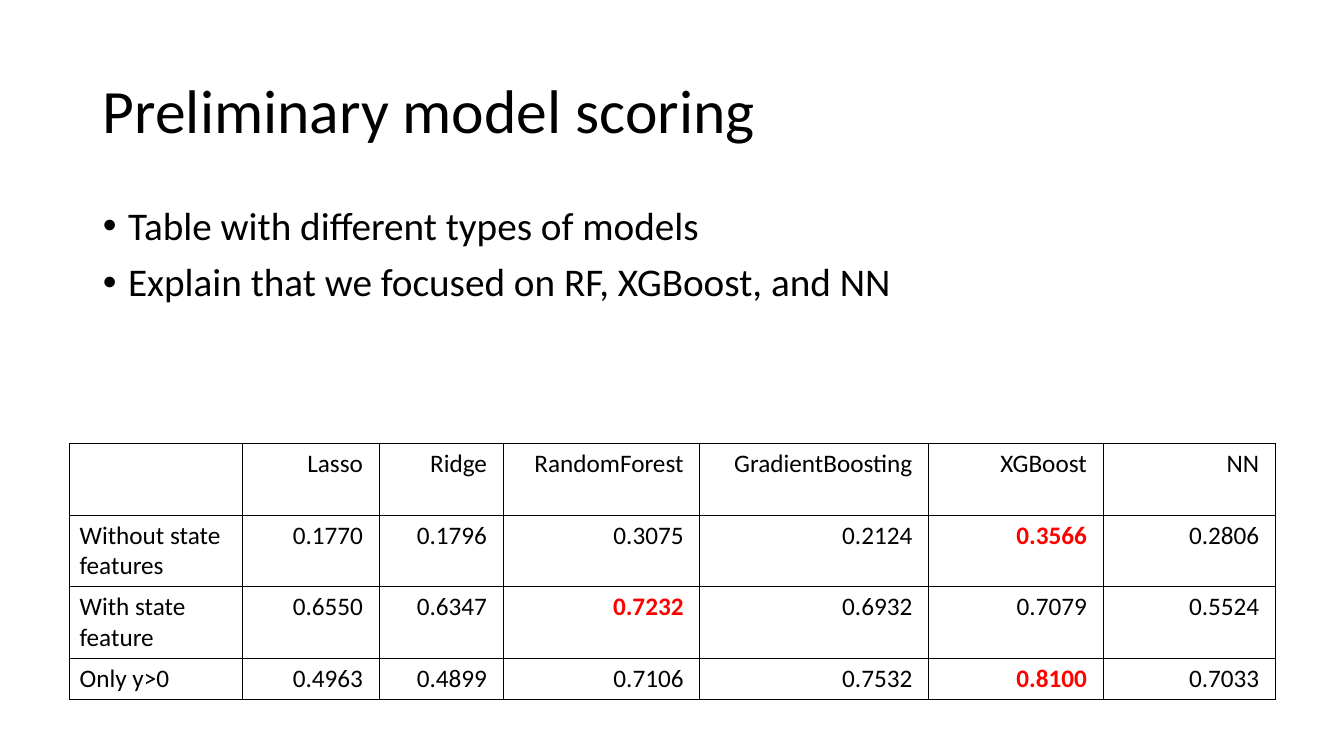
import pptx
import pptx.util
import pptx.dml.color
import pptx.enum.text
import pptx.oxml
import pptx.oxml.ns
from dataclasses import dataclass

Inches = pptx.util.Inches
Pt = pptx.util.Pt
Align = pptx.enum.text.PP_ALIGN
Anchor = pptx.enum.text.MSO_ANCHOR


@dataclass
class Theme:
    font: str = "Calibri"
    ink: str = "000000"
    best: str = "FF0000"
    paper: str = "FFFFFF"
    head: int = 44
    body: int = 28
    cell: int = 18
    rule: float = 0.6


class Page:
    def __init__(self, deck, theme):
        self.theme = theme
        self.slide = deck.slides.add_slide(deck.slide_layouts[1])
        fill = self.slide.background.fill
        fill.solid()
        fill.fore_color.rgb = pptx.dml.color.RGBColor.from_string(theme.paper)

    def add_text(self, para, text, size, color=None, bold=False):
        run = para.add_run()
        run.text = text
        run.font.name = self.theme.font
        run.font.size = Pt(size)
        run.font.bold = bold
        run.font.color.rgb = pptx.dml.color.RGBColor.from_string(color or self.theme.ink)

    def place(self, shape, box, anchor):
        shape.left, shape.top, shape.width, shape.height = map(Inches, box)
        frame = shape.text_frame
        frame.word_wrap = True
        frame.auto_size = pptx.enum.text.MSO_AUTO_SIZE.NONE
        frame.vertical_anchor = anchor
        return frame

    def title(self, text, box):
        frame = self.place(self.slide.shapes.title, box, Anchor.MIDDLE)
        para = frame.paragraphs[0]
        para.alignment = Align.LEFT
        para.line_spacing = 0.9
        self.add_text(para, text, self.theme.head)

    def bullets(self, items, box):
        frame = self.place(self.slide.placeholders[1], box, Anchor.TOP)
        for i, text in enumerate(items):
            para = frame.add_paragraph() if i else frame.paragraphs[0]
            props = para._p.get_or_add_pPr()
            props.set("marL", str(Inches(0.25)))
            props.set("indent", str(Inches(-0.25)))
            for tag, key, value in (("buFont", "typeface", "Arial"), ("buChar", "char", "•")):
                node = pptx.oxml.ns.qn("a:" + tag)
                props.append(props.makeelement(node, {key: value}))
            para.line_spacing = 0.9
            para.space_before = Pt(10 if i else 0)
            self.add_text(para, text, self.theme.body)

    def border(self, cell):
        props = cell._tc.get_or_add_tcPr()
        for side in "LRTB":
            props.append(pptx.oxml.parse_xml(
                f'<a:ln{side} {pptx.oxml.ns.nsdecls("a")} w="{Pt(self.theme.rule)}">'
                f'<a:solidFill><a:srgbClr val="{self.theme.ink}"/></a:solidFill>'
                f'</a:ln{side}>'))

    def table(self, heads, scores, left, top, widths, heights):
        rows = [["", *heads]] + [[name, *vals] for name, vals in scores.items()]
        grid = self.slide.shapes.add_table(
            len(rows), len(widths), Inches(left), Inches(top),
            Inches(sum(widths)), Inches(sum(heights))).table
        grid.first_row = grid.horz_banding = False
        for col, width in zip(grid.columns, widths):
            col.width = Inches(width)
        for row, height in zip(grid.rows, heights):
            row.height = Inches(height)
        for r, row in enumerate(rows):
            # The highest score in each row stands out
            top_score = max(row[1:], key=float) if r else None
            for c, text in enumerate(row):
                cell = grid.cell(r, c)
                self.border(cell)
                cell.fill.background()
                para = cell.text_frame.paragraphs[0]
                para.font.size = Pt(self.theme.cell)
                if c:
                    cell.margin_right = Inches(0.16)
                    para.alignment = Align.RIGHT
                best = c > 0 and text == top_score
                if text:
                    color = self.theme.best if best else self.theme.ink
                    self.add_text(para, text, self.theme.cell, color, best)


def main():
    deck = pptx.Presentation()
    deck.slide_width, deck.slide_height = Inches(13.33), Inches(7.5)
    page = Page(deck, Theme())

    # Title and talking points
    page.title("Preliminary model scoring", (0.92, 0.4, 11.5, 1.45))
    page.bullets(["Table with different types of models",
                  "Explain that we focused on RF, XGBoost, and NN"],
                 (0.92, 2, 11.5, 4.76))

    # Model scores
    heads = ["Lasso", "Ridge", "RandomForest", "GradientBoosting", "XGBoost", "NN"]
    scores = {
        "Without state features": ["0.1770", "0.1796", "0.3075", "0.2124", "0.3566", "0.2806"],
        "With state feature": ["0.6550", "0.6347", "0.7232", "0.6932", "0.7079", "0.5524"],
        "Only y>0": ["0.4963", "0.4899", "0.7106", "0.7532", "0.8100", "0.7033"],
    }
    page.table(heads, scores, 0.69, 4.4,
               [1.71, 1.36, 1.23, 1.95, 2.27, 1.73, 1.71], [0.71] * 3 + [0.41])

    deck.save("out.pptx")


if __name__ == "__main__":
    main()
